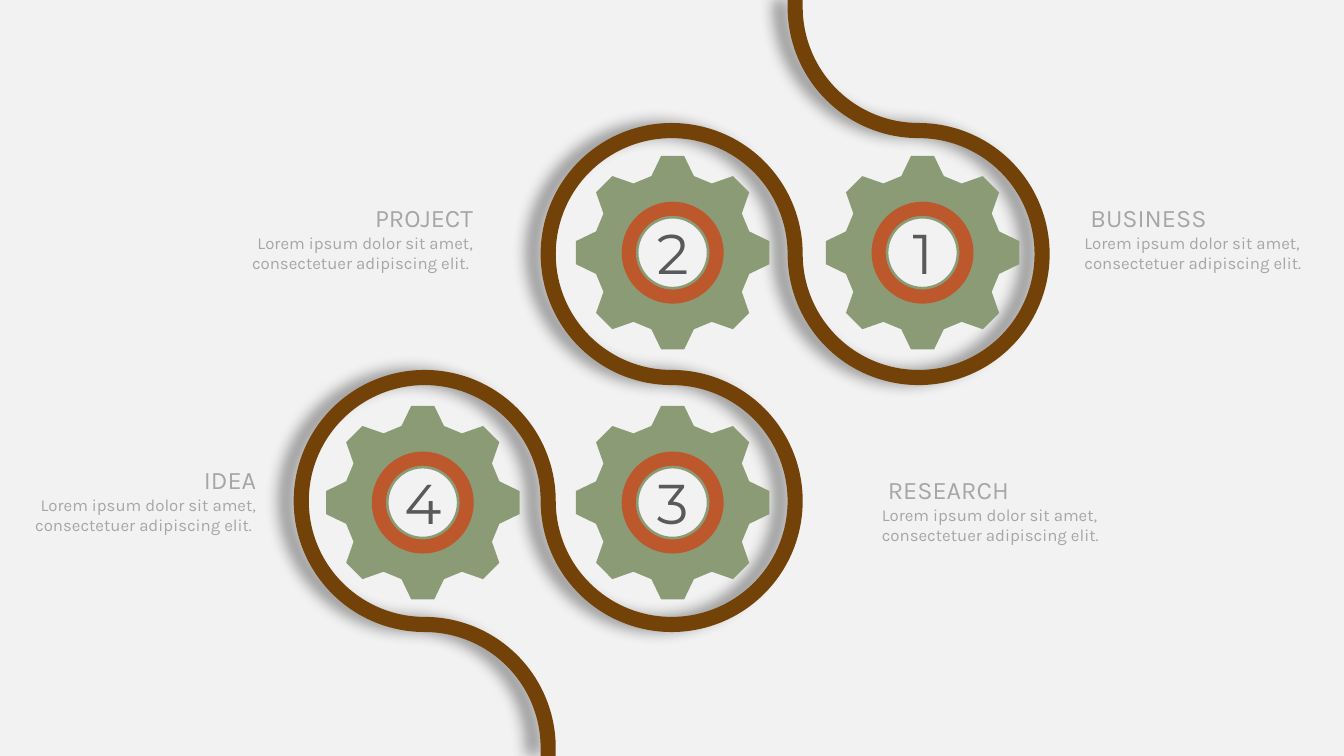
from math import cos, radians, sin

from lxml import etree
from pptx import Presentation
from pptx.dml.color import RGBColor
from pptx.enum.shapes import MSO_SHAPE
from pptx.enum.text import PP_ALIGN
from pptx.oxml.ns import qn
from pptx.util import Pt

DONUT = MSO_SHAPE.DONUT
LEFT, CENTER, RIGHT = PP_ALIGN.LEFT, PP_ALIGN.CENTER, PP_ALIGN.RIGHT

PAPER, ROAD, GEAR = "F2F2F2", "724209", "8B9B76"
RING, LABEL, NUMBER = "BD582C", "A6A6A6", "595959"
PAGE_WIDTH, PAGE_HEIGHT = 960, 540
DEGREE = 60000

# Gear grid: centre of the lower left gear's column and of the upper row
GEAR_X, GEAR_Y, GEAR_PITCH = 302, 180.5, 178.5
GEARS = [("1", 2, 0), ("2", 1, 0), ("3", 1, 1), ("4", 0, 1)]

# Road bends: column, row, start angle, end angle (clockwise from the right)
ROAD_X, ROAD_Y, ROAD_RADIUS, ROAD_HALF = 303.4, 5.1, 88.2, 5.4
BENDS = [(2, 0, 180, 90), (2, 1, -90, 180), (1, 1, 0, -270),
         (1, 2, -90, 180), (0, 2, 0, -270), (0, 3, -90, 0)]

# One tooth: angle, radius
TOOTH = [(-15.5, 56.8), (-6.8, 69.6), (6.8, 69.6), (15.5, 56.8)]

BODY = "Lorem ipsum dolor sit amet, consectetuer adipiscing elit."
LABELS = [
    ("PROJECT", BODY + " ", RIGHT, (170, 141, 175, 75)),
    ("IDEA", BODY + " ", RIGHT, (17.3, 328.3, 172.8, 75)),
    (" BUSINESS", BODY, LEFT, (767.5, 141, 192, 75)),
    (" RESEARCH", BODY, LEFT, (622.8, 335.5, 192, 75)),
]


def color(value):
    return RGBColor.from_string(value)


def polar(x, y, radius, angle):
    return x + radius * cos(radians(angle)), y + radius * sin(radians(angle))


def arc(x, y, radius, start, end):
    """List the start point, then a quarter turn at a time: point and curve."""
    turn = 90 if end > start else -90
    return [(polar(x, y, radius, start), None)] + [
        (polar(x, y, radius, angle + turn), (radius, angle % 360, turn))
        for angle in range(start, end, turn)]


def paint(shape, value):
    shape.shadow.inherit = False
    shape.fill.solid()
    shape.fill.fore_color.rgb = color(value)
    shape.line.fill.background()


def add_outline(page, contours, value):
    """Draw closed contours of (point, curve) steps as one filled shape."""
    builder = None
    for steps in contours:
        corners = [(Pt(x), Pt(y)) for (x, y), _ in steps]
        if builder is None:
            builder = page.shapes.build_freeform(*corners[0])
        else:
            builder.move_to(*corners[0])
        builder.add_line_segments(corners[1:], close=True)
    shape = builder.convert_to_shape()
    paint(shape, value)

    # Bend the segments that are arcs
    curves = [curve for steps in contours for _, curve in steps[1:]]
    segments = list(shape._element.iter(qn("a:lnTo")))
    for segment, curve in zip(segments, curves):
        if curve:
            radius, start, turn = curve
            bend = etree.Element(qn("a:arcTo"), wR=str(Pt(radius)), hR=str(Pt(radius)),
                                 stAng=str(start * DEGREE), swAng=str(turn * DEGREE))
            segment.getparent().replace(segment, bend)
    return shape


def add_text(frame, text, first=False, align=LEFT, size=12, font="Karla", value=LABEL):
    para = frame.paragraphs[0] if first else frame.add_paragraph()
    para.alignment = align
    span = para.add_run()
    span.text = text
    span.font.size, span.font.name = Pt(size), font
    span.font.color.rgb = color(value)


def add_box(page, left, top, width, height):
    box = page.shapes.add_textbox(Pt(left), Pt(top), Pt(width), Pt(height))
    box.text_frame.word_wrap = True
    return box.text_frame


def cast_shadow(shape, blur, distance, angle, alpha):
    effects = shape._element.spPr.find(qn("a:effectLst"))
    shadow = etree.SubElement(effects, qn("a:outerShdw"), blurRad=str(Pt(blur)),
                              dist=str(Pt(distance)), dir=str(angle * DEGREE),
                              algn="ctr", rotWithShape="0")
    tint = etree.SubElement(shadow, qn("a:srgbClr"), val="000000")
    etree.SubElement(tint, qn("a:alpha"), val=str(alpha * 1000))


def road_edge(bends, first_y, last_y):
    """Trace the road's edge on one side of the direction of travel."""
    steps = []
    for column, row, start, end in bends:
        x = ROAD_X + column * 2 * ROAD_RADIUS
        y = ROAD_Y + row * 2 * ROAD_RADIUS
        half = ROAD_HALF if end > start else -ROAD_HALF
        bend = arc(x, y, ROAD_RADIUS + half, start, end)
        steps += bend[1:] if steps else bend
    first_x, last_x = steps[0][0][0], steps[-1][0][0]
    return [((first_x, first_y), None), *steps, ((last_x, last_y), None)]


def add_road(page):
    way_back = [(column, row, end, start) for column, row, start, end in BENDS[::-1]]
    outline = road_edge(BENDS, 0, PAGE_HEIGHT) + road_edge(way_back, PAGE_HEIGHT, 0)
    cast_shadow(add_outline(page, [outline], ROAD), 10, 10, 180, 40)


def add_gear(page, number, x, y):
    # Toothed wheel with a round hole
    rim = [(polar(x, y, radius, 45 * tooth + angle), None)
           for tooth in range(8) for angle, radius in TOOTH]
    add_outline(page, [rim, arc(x, y, 24.4, 0, -360)], GEAR)

    # Ring around the number
    size = 72.8
    ring = page.shapes.add_shape(DONUT, Pt(x - size / 2), Pt(y - size / 2),
                                 Pt(size), Pt(size))
    ring.adjustments[0] = 0.138
    paint(ring, RING)

    # Number
    frame = add_box(page, x - 31.7, y - 27.8, 63.4, 55.6)
    add_text(frame, number, first=True, align=CENTER, size=40,
             font="Montserrat", value=NUMBER)


def add_label(page, heading, body, align, area):
    frame = add_box(page, *area)
    add_text(frame, heading, first=True, align=align, size=18)
    add_text(frame, body, align=align)


def main():
    deck = Presentation()
    deck.slide_width, deck.slide_height = Pt(PAGE_WIDTH), Pt(PAGE_HEIGHT)
    page = deck.slides.add_slide(deck.slide_layouts[6])
    page.background.fill.solid()
    page.background.fill.fore_color.rgb = color(PAPER)

    add_road(page)
    for number, column, row in GEARS:
        add_gear(page, number, GEAR_X + column * GEAR_PITCH, GEAR_Y + row * GEAR_PITCH)
    for label in LABELS:
        add_label(page, *label)
    deck.save("out.pptx")


if __name__ == "__main__":
    main()
